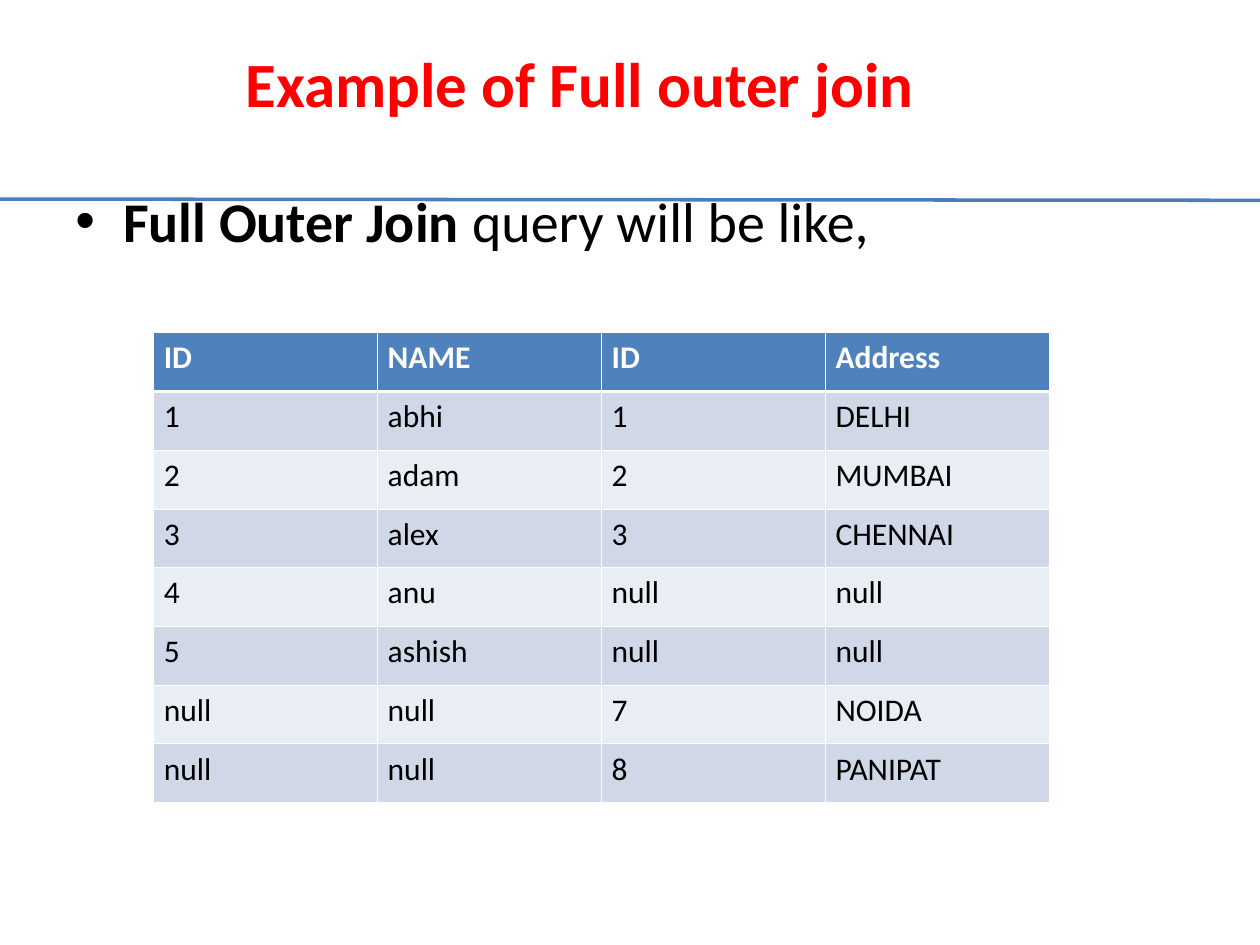
from dataclasses import dataclass

import pptx
import pptx.dml.color
import pptx.enum.shapes
import pptx.enum.text
import pptx.oxml
import pptx.oxml.ns
import pptx.util
from lxml import etree
from pptx.util import Inches

FONT = "Calibri"
COLORS = {
    "title": "FF0000",
    "text": "000000",
    "white": "FFFFFF",
    "rule": "4A7EBB",
    "header": "4F81BD",
    "odd": "D0D8E8",
    "even": "E9EDF4",
}
THIN, THICK = 0.45, 1.47
JOIN_ROWS = [
    ("ID", "NAME", "ID", "Address"),
    ("1", "abhi", "1", "DELHI"),
    ("2", "adam", "2", "MUMBAI"),
    ("3", "alex", "3", "CHENNAI"),
    ("4", "anu", "null", "null"),
    ("5", "ashish", "null", "null"),
    ("null", "null", "7", "NOIDA"),
    ("null", "null", "8", "PANIPAT"),
]


@dataclass
class TextStyle:
    size: float
    color: str
    bold: bool = False


@dataclass
class Box:
    left: float
    top: float
    width: float
    height: float

    def lengths(self) -> tuple:
        return tuple(Inches(v) for v in (self.left, self.top, self.width, self.height))


def rgb(name: str) -> pptx.dml.color.RGBColor:
    return pptx.dml.color.RGBColor.from_string(COLORS[name])


def style_run(r, style: TextStyle) -> None:
    r.font.name = FONT
    r.font.size = pptx.util.Pt(style.size)
    r.font.bold = style.bold
    r.font.color.rgb = rgb(style.color)


def add_text_box(s, box: Box):
    tf = s.shapes.add_textbox(*box.lengths()).text_frame
    tf.word_wrap = True
    return tf


def add_rule(s) -> None:
    rule = s.shapes.add_connector(
        pptx.enum.shapes.MSO_CONNECTOR.STRAIGHT,
        Inches(0), Inches(1.58), Inches(10), Inches(1.59),
    )
    rule.line.color.rgb = rgb("rule")
    rule.line.width = pptx.util.Pt(2)
    etree.SubElement(rule._element.spPr, pptx.oxml.ns.qn("a:effectLst"))


def add_title(s) -> None:
    tf = add_text_box(s, Box(0.58, 0.3, 8.17, 1.25))
    tf.margin_right = Inches(0.22)
    tf.text = "Example of Full outer join"
    p = tf.paragraphs[0]
    p.alignment = pptx.enum.text.PP_ALIGN.CENTER
    style_run(p.runs[0], TextStyle(36, "title", True))


def add_bullet(s) -> None:
    p = add_text_box(s, Box(0.5, 1.43, 8.44, 5.82)).paragraphs[0]
    pPr = p._p.get_or_add_pPr()
    pPr.set("marL", str(Inches(0.38)))
    pPr.set("indent", str(Inches(-0.38)))
    etree.SubElement(pPr, pptx.oxml.ns.qn("a:buFont"), typeface="Arial")
    etree.SubElement(pPr, pptx.oxml.ns.qn("a:buChar"), char="•")
    for text, bold in (("Full Outer Join", True), (" query will be like,", False)):
        r = p.add_run()
        r.text = text
        style_run(r, TextStyle(32, "text", bold))


def set_borders(cell, row: int) -> None:
    tcPr = cell._tc.get_or_add_tcPr()
    widths = {
        "lnL": THIN,
        "lnR": THIN,
        "lnT": THICK if row == 1 else THIN,
        "lnB": THICK if row == 0 else THIN,
    }
    for side, width in widths.items():
        ln = etree.SubElement(
            tcPr, pptx.oxml.ns.qn(f"a:{side}"), w=str(int(pptx.util.Pt(width)))
        )
        fill = etree.SubElement(ln, pptx.oxml.ns.qn("a:solidFill"))
        etree.SubElement(fill, pptx.oxml.ns.qn("a:srgbClr"), val=COLORS["white"])


def fill_cell(cell, text: str, row: int) -> None:
    cell.margin_left = cell.margin_right = Inches(0.08)
    cell.margin_top = cell.margin_bottom = Inches(0.05)
    is_header = row == 0
    cell.text_frame.text = text
    style_run(
        cell.text_frame.paragraphs[0].runs[0],
        TextStyle(18, "white" if is_header else "text", is_header),
    )
    set_borders(cell, row)
    cell.fill.solid()
    cell.fill.fore_color.rgb = rgb("header" if is_header else "odd" if row % 2 else "even")


def add_join_table(s) -> None:
    box = Box(1.22, 2.64, 7.11, 3.73)
    table = s.shapes.add_table(len(JOIN_ROWS), len(JOIN_ROWS[0]), *box.lengths()).table
    for row, values in enumerate(JOIN_ROWS):
        for col, text in enumerate(values):
            fill_cell(table.cell(row, col), text, row)


def main() -> None:
    prs = pptx.Presentation()
    prs.slide_width, prs.slide_height = Inches(10), Inches(7.5)
    s = prs.slides.add_slide(prs.slide_layouts[6])
    add_rule(s)
    add_title(s)
    add_bullet(s)
    add_join_table(s)
    prs.save("out.pptx")


if __name__ == "__main__":
    main()
